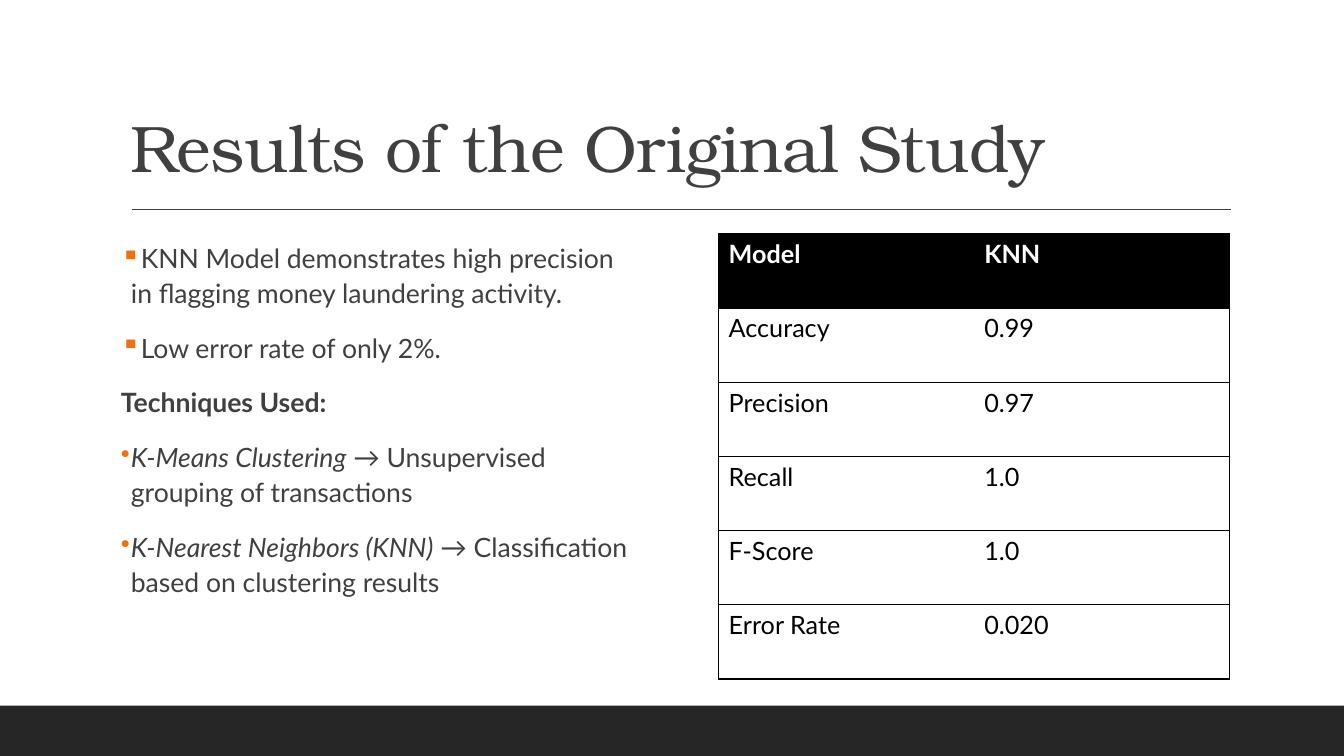
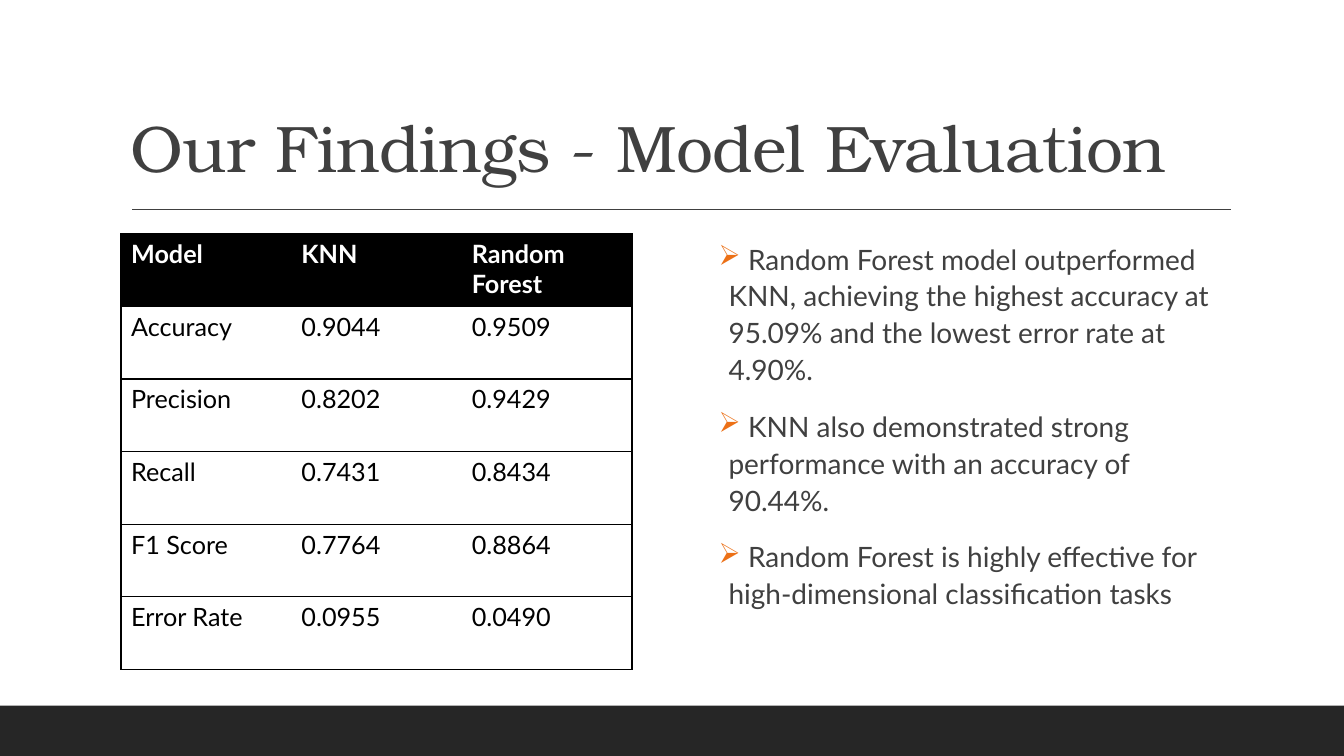
from lxml import etree
from pptx import Presentation
from pptx.dml.color import RGBColor
from pptx.enum.shapes import MSO_CONNECTOR, MSO_SHAPE
from pptx.enum.text import MSO_ANCHOR
from pptx.oxml.ns import qn
from pptx.util import Cm, Pt

STRAIGHT = MSO_CONNECTOR.STRAIGHT
RECTANGLE = MSO_SHAPE.RECTANGLE
TOP, BOTTOM = MSO_ANCHOR.TOP, MSO_ANCHOR.BOTTOM

PAGE_WIDTH, PAGE_HEIGHT = 33.87, 19.05
BAND_HEIGHT = 1.27
LEFT, RIGHT = 3.05, 18.11
COLUMN_TOP, COLUMN_WIDTH, COLUMN_HEIGHT = 5.89, 12.88, 10.41
INK, DARK, ACCENT = "404040", "262626", "EC7016"
BLACK, WHITE = "000000", "FFFFFF"
TITLE_FONT, BODY_FONT = "TeX Gyre Bonum", "Lato"


def color(value):
    return RGBColor.from_string(value)


def apply(target, values):
    for name, value in values.items():
        setattr(target, name, value)


def add_xml(parent, tag, **attributes):
    return etree.SubElement(parent, qn(tag), attributes)


class Deck:
    def __init__(self):
        self.deck = Presentation()
        apply(self.deck, {"slide_width": Cm(PAGE_WIDTH), "slide_height": Cm(PAGE_HEIGHT)})
        self.page = None

    def add_page(self, title):
        self.page = self.deck.slides.add_slide(self.deck.slide_layouts[6])
        self.band()
        self.rule(3.33, 31.01, 5.28)
        self.title(title)

    def band(self):
        band = self.page.shapes.add_shape(
            RECTANGLE, 0, Cm(PAGE_HEIGHT - BAND_HEIGHT), Cm(PAGE_WIDTH), Cm(BAND_HEIGHT))
        band.shadow.inherit = False
        band.fill.solid()
        band.fill.fore_color.rgb = color(DARK)
        band.line.fill.background()

    def rule(self, start, end, height):
        rule = self.page.shapes.add_connector(
            STRAIGHT, Cm(start), Cm(height), Cm(end), Cm(height))
        rule.line.color.rgb = color(INK)
        rule.line.width = Pt(1)
        add_xml(rule._element.spPr, "a:effectLst")

    def frame(self, left, top, width, height, **values):
        box = self.page.shapes.add_textbox(Cm(left), Cm(top), Cm(width), Cm(height))
        apply(box.text_frame, {"word_wrap": True, **values})
        return box.text_frame

    def span(self, para, text, size, ink=INK, font=BODY_FONT, **values):
        span = para.add_run()
        span.text = text
        apply(span.font, {"name": font, "size": Pt(size), **values})
        span.font.color.rgb = color(ink)
        return span

    def title(self, text):
        frame = self.frame(LEFT, 0.79, 27.94, 4.04, vertical_anchor=BOTTOM)
        para = frame.paragraphs[0]
        para.line_spacing = 0.9
        span = self.span(para, text, 47, font=TITLE_FONT)
        span._r.get_or_add_rPr().set("spc", "-50")

    def body(self, left, size, items):
        frame = self.frame(left, COLUMN_TOP, COLUMN_WIDTH, COLUMN_HEIGHT,
                           margin_left=0, margin_right=0, vertical_anchor=TOP)
        for index, (bullet, spans) in enumerate(items):
            para = frame.add_paragraph() if index else frame.paragraphs[0]
            apply(para, {"line_spacing": 1.1, "space_before": Pt(12), "space_after": Pt(2)})
            self.bullet(para, bullet)
            for text, values in spans:
                self.span(para, text, size, **values)

    def bullet(self, para, symbol):
        properties = para._p.get_or_add_pPr()
        indent = Cm(0.25)
        properties.set("marL", str(indent))
        properties.set("indent", str(-indent))
        if symbol:
            add_xml(add_xml(properties, "a:buClr"), "a:srgbClr", val=ACCENT)
            add_xml(properties, "a:buChar", char=symbol)
        else:
            add_xml(properties, "a:buNone")

    def table(self, left, row_height, rows):
        count = len(rows[0])
        table = self.page.shapes.add_table(
            len(rows), count, Cm(left), Cm(COLUMN_TOP),
            Cm(COLUMN_WIDTH), Cm(row_height * len(rows))).table
        for row_index, values in enumerate(rows):
            header = row_index == 0
            for column_index, text in enumerate(values):
                cell = table.cell(row_index, column_index)
                cell.fill.solid()
                cell.fill.fore_color.rgb = color(BLACK if header else WHITE)
                self.span(cell.text_frame.paragraphs[0], text, 18,
                          WHITE if header else BLACK, bold=header)
                self.borders(cell, column_index == 0, column_index == count - 1)

    def borders(self, cell, first, last):
        properties = cell._tc.get_or_add_tcPr()
        sides = {"a:lnL": first, "a:lnR": last, "a:lnT": True, "a:lnB": True}
        for index, (tag, visible) in enumerate(sides.items()):
            line = etree.Element(qn(tag), w=str(Pt(1)))
            if visible:
                add_xml(add_xml(line, "a:solidFill"), "a:srgbClr", val=BLACK)
            else:
                add_xml(line, "a:noFill")
            properties.insert(index, line)


def main():
    deck = Deck()
    plain, bold, italic = {}, {"bold": True}, {"italic": True}

    deck.add_page("Results of the Original Study")
    deck.body(LEFT, 19, [
        ("▪", [("KNN Model demonstrates high precision in flagging money laundering activity.", plain)]),
        ("▪", [("Low error rate of only 2%.", plain)]),
        (None, [("Techniques Used:", bold)]),
        ("•", [("K-Means Clustering", italic),
               (" → Unsupervised grouping of transactions", plain)]),
        ("•", [("K-Nearest Neighbors (KNN)", italic),
               (" → Classification based on clustering results", plain)]),
    ])
    deck.table(RIGHT, 1.87, [
        ("Model", "KNN"),
        ("Accuracy", "0.99"),
        ("Precision", "0.97"),
        ("Recall", "1.0"),
        ("F-Score", "1.0"),
        ("Error Rate", "0.020"),
    ])

    deck.add_page("Our Findings - Model Evaluation")
    deck.table(LEFT, 1.83, [
        ("Model", "KNN", "Random Forest"),
        ("Accuracy", "0.9044", "0.9509"),
        ("Precision", "0.8202", "0.9429"),
        ("Recall", "0.7431", "0.8434"),
        ("F1 Score", "0.7764", "0.8864"),
        ("Error Rate", "0.0955", "0.0490"),
    ])
    findings = [
        " Random Forest model outperformed KNN, achieving the highest accuracy at 95.09% "
        "and the lowest error rate at 4.90%.",
        " KNN also demonstrated strong performance with an accuracy of 90.44%.",
        " Random Forest is highly effective for high-dimensional classification tasks",
    ]
    deck.body(RIGHT, 20, [("➢", [(text, plain)]) for text in findings])

    deck.deck.save("out.pptx")


if __name__ == "__main__":
    main()
